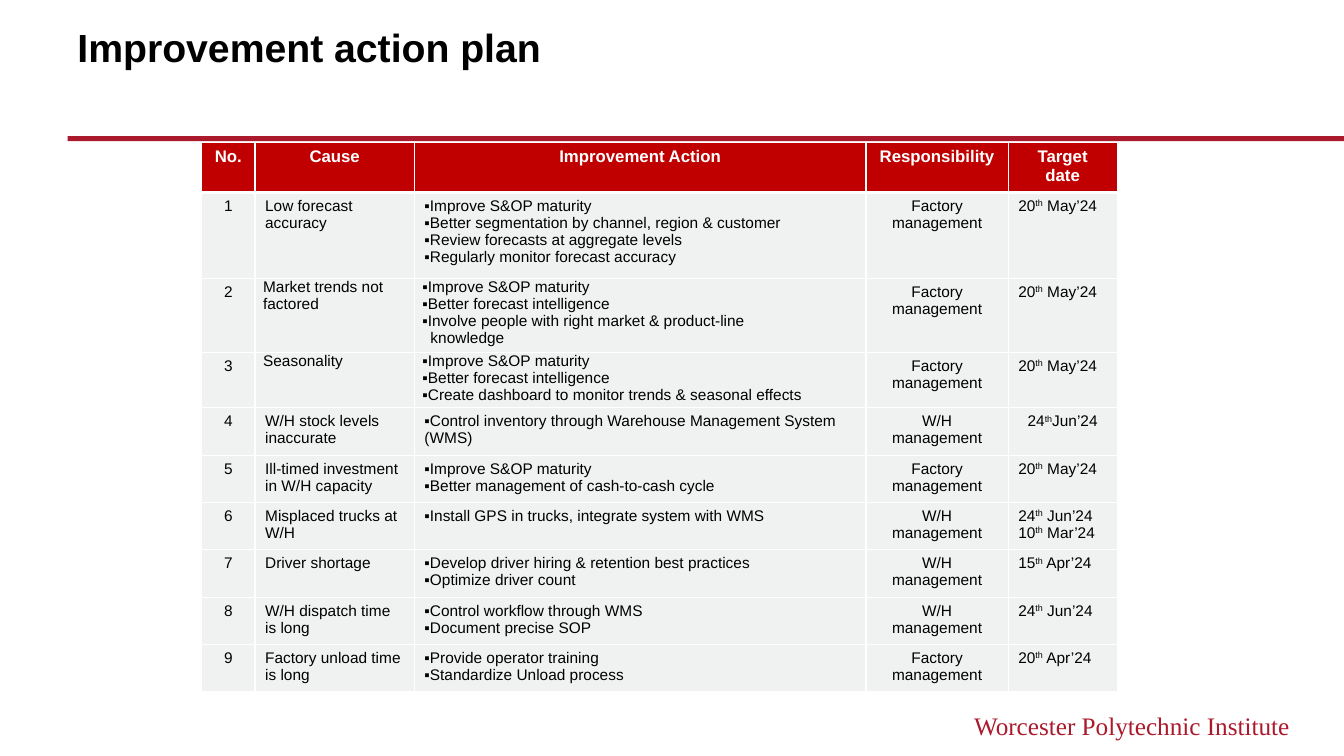
"""Build the improvement action plan slide."""
import pptx
import pptx.util
import pptx.dml.color
import pptx.enum.shapes
import pptx.enum.text
import pptx.oxml
import pptx.oxml.ns

Inches, Pt = pptx.util.Inches, pptx.util.Pt
ALIGN = pptx.enum.text.PP_ALIGN
HUES = {"red": "AB192D", "head": "C00000", "body": "F0F1F1", "white": "FFFFFF", "black": "000000"}
FORMATS = {
    "title": {"name": "Arial", "size": Pt(28), "bold": True, "color": "black"},
    "footer": {"name": "Times New Roman", "size": Pt(18), "bold": False, "color": "red"},
    "head": {"name": "Arial", "size": Pt(12), "bold": True, "color": "white"},
    "body": {"name": "Arial", "size": Pt(11), "bold": False, "color": "black"},
}
WIDTHS = [0.53, 1.58, 4.48, 1.41, 1.08]
HEIGHTS = [0.49, 0.85, 0.73, 0.55] + [0.47] * 6
DATE = 4
CENTERED = (0, 3)
TIGHT_ROWS, TIGHT_COLS = (2, 3), (1, 2)
HEADS = ["No.", "Cause", "Improvement Action", "Responsibility", "Target date"]
FACTORY, STORE = "Factory management", "W/H management"
PLAN = [
    ("Low forecast accuracy",
     "▪Improve S&OP maturity\n▪Better segmentation by channel, region & customer\n"
     "▪Review forecasts at aggregate levels\n▪Regularly monitor forecast accuracy",
     FACTORY, "20th May’24"),
    ("Market trends not factored",
     "▪Improve S&OP maturity\n▪Better forecast intelligence\n"
     "▪Involve people with right market & product-line\vknowledge",
     FACTORY, "20th May’24"),
    ("Seasonality",
     "▪Improve S&OP maturity\n▪Better forecast intelligence\n"
     "▪Create dashboard to monitor trends & seasonal effects",
     FACTORY, "20th May’24"),
    ("W/H stock levels inaccurate",
     "▪Control inventory through Warehouse Management System (WMS)",
     STORE, "24thJun’24"),
    ("Ill-timed investment in W/H capacity",
     "▪Improve S&OP maturity\n▪Better management of cash-to-cash cycle",
     FACTORY, "20th May’24"),
    ("Misplaced trucks at W/H",
     "▪Install GPS in trucks, integrate system with WMS",
     STORE, "24th Jun’24\n10th Mar’24"),
    ("Driver shortage",
     "▪Develop driver hiring & retention best practices\n▪Optimize driver count",
     STORE, "15th Apr’24"),
    ("W/H dispatch time is long",
     "▪Control workflow through WMS\n▪Document precise SOP",
     STORE, "24th Jun’24"),
    ("Factory unload time is long",
     "▪Provide operator training\n▪Standardize Unload process",
     FACTORY, "20th Apr’24"),
]


def tint(hue):
    """Return the named colour."""
    return pptx.dml.color.RGBColor.from_string(HUES[hue])


def style(font, kind):
    """Apply a named format to a font."""
    for key, value in FORMATS[kind].items():
        if key == "color":
            font.color.rgb = tint(value)
        else:
            setattr(font, key, value)


def write(frame, text, kind, align, dated=False):
    """Fill a text frame, one paragraph a line, raising the th of dates."""
    for i, line in enumerate(text.split("\n")):
        para = frame.paragraphs[0] if i == 0 else frame.add_paragraph()
        para.alignment = align
        if "\v" in line:
            props = para._p.get_or_add_pPr()
            props.set("marL", str(Inches(0.08)))
            props.set("indent", str(-Inches(0.08)))
        for part in line.partition("th") if dated else line.split("\v"):
            if para.runs and not dated:
                para.add_line_break()
            run = para.add_run()
            run.text = part
            style(run.font, kind)
            if part == "th":
                run._r.get_or_add_rPr().set("baseline", "30000")


def add_text(slide, box, text, kind, align):
    """Add a text box."""
    frame = slide.shapes.add_textbox(*map(Inches, box)).text_frame
    frame.word_wrap = True
    write(frame, text, kind, align)


def add_rule(slide, box, hue):
    """Add a plain filled bar."""
    bar = slide.shapes.add_shape(pptx.enum.shapes.MSO_SHAPE.RECTANGLE, *map(Inches, box))
    bar.shadow.inherit = False
    bar.fill.solid()
    bar.fill.fore_color.rgb = tint(hue)
    bar.line.fill.background()


def edge(cell, base):
    """Draw white cell borders with the given bottom width."""
    for side, width in zip("LRTB", (1, 1, 1, base)):
        cell._tc.get_or_add_tcPr().append(pptx.oxml.parse_xml(
            f'<a:ln{side} {pptx.oxml.ns.nsdecls("a")} w="{Pt(width)}"><a:solidFill>'
            f'<a:srgbClr val="{HUES["white"]}"/></a:solidFill></a:ln{side}>'))


def fill_cell(cell, row, col, text):
    """Format and fill one table cell."""
    kind = "body" if row else "head"
    edge(cell, 1 if row else 3)
    cell.fill.solid()
    cell.fill.fore_color.rgb = tint(kind)
    if row in TIGHT_ROWS and col in TIGHT_COLS:
        for side, gap in {"left": 0.08, "right": 0, "top": 0, "bottom": 0}.items():
            setattr(cell, f"margin_{side}", Inches(gap))
    middle = row == 0 or col in CENTERED or text == "24thJun’24"
    align = ALIGN.CENTER if middle else ALIGN.LEFT
    write(cell.text_frame, text, kind, align, bool(row) and col == DATE)


def add_plan(slide, left, top):
    """Add the action plan table."""
    rows = [HEADS] + [(str(i), *item) for i, item in enumerate(PLAN, 1)]
    size = (sum(WIDTHS), sum(HEIGHTS))
    table = slide.shapes.add_table(
        len(rows), len(HEADS), *map(Inches, (left, top, *size))).table
    table.horz_banding = False
    for column, width in zip(table.columns, WIDTHS):
        column.width = Inches(width)
    for r, (texts, height) in enumerate(zip(rows, HEIGHTS)):
        table.rows[r].height = Inches(height)
        for c, text in enumerate(texts):
            fill_cell(table.cell(r, c), r, c, text)


def main():
    """Build and save the slide."""
    deck = pptx.Presentation()
    deck.slide_width, deck.slide_height = Inches(13.33), Inches(7.5)
    slide = deck.slides.add_slide(deck.slide_layouts[6])
    add_rule(slide, (0.67, 1.35, 12.66, 0.05), "red")
    add_text(slide, (8, 7, 4.89, 0.4), "Worcester Polytechnic Institute", "footer", ALIGN.RIGHT)
    add_plan(slide, 2, 1.41)
    add_text(slide, (0.67, 0.18, 12, 1.08), "Improvement action plan", "title", ALIGN.LEFT)
    deck.save("out.pptx")


if __name__ == "__main__":
    main()
